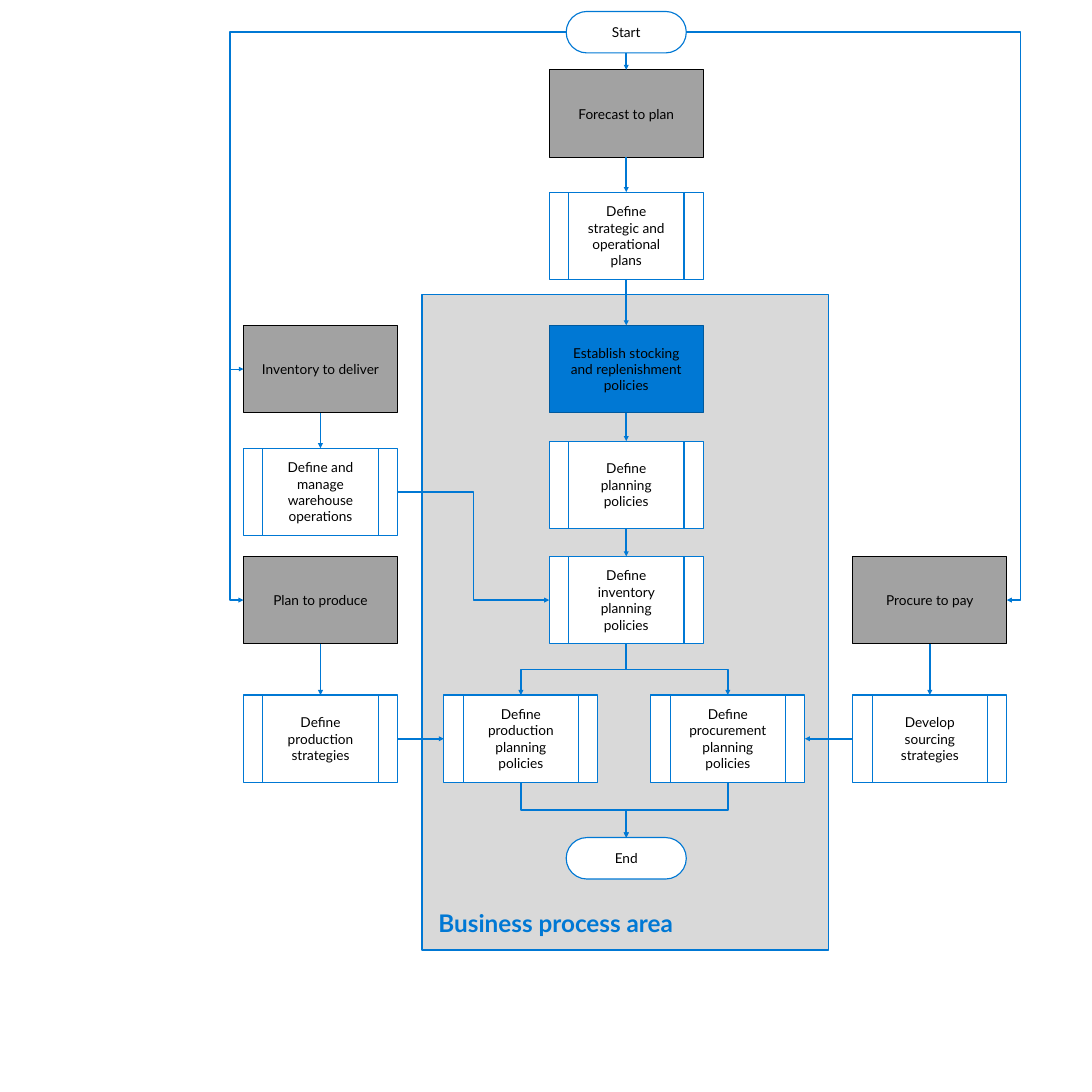
import lxml.etree
import pptx
import pptx.dml.color
import pptx.enum.shapes
import pptx.enum.text
import pptx.oxml.ns
import pptx.util

RGBColor = pptx.dml.color.RGBColor
BLUE = RGBColor(0x00, 0x78, 0xD4)
DARK_BLUE = RGBColor(0x00, 0x59, 0x9D)
GREY = RGBColor(0xA2, 0xA2, 0xA2)
PALE_GREY = RGBColor(0xD9, 0xD9, 0xD9)
BLACK = RGBColor(0x00, 0x00, 0x00)
WHITE = RGBColor(0xFF, 0xFF, 0xFF)

KINDS = pptx.enum.shapes.MSO_SHAPE
ANCHORS = pptx.enum.text.MSO_ANCHOR
ALIGNS = pptx.enum.text.PP_ALIGN
CONNECTORS = pptx.enum.shapes.MSO_CONNECTOR
TOP, LEFT, BOTTOM, RIGHT = range(4)

# Grid in inches: column centres and row tops
COLUMNS = {"supply": 5.87, "production": 9.54, "main": 11.47,
           "procurement": 13.33, "sourcing": 17.03}
ROWS = {"start": 0.21, "forecast": 1.28, "strategy": 3.52, "stocking": 5.96,
        "planning": 8.08, "warehouse": 8.21, "inventory": 10.19,
        "detail": 12.73, "end": 15.34}
LANE = 0.25  # distance of the outer lines from the boxes they enter


class Flowchart:
    font = "Lato"
    box_size = (2.82, 1.6)
    pill_size = (2.2, 0.76)

    def __init__(self, page):
        self.page = page

    def shape(self, kind, at, words, fill, outline, size=18, color=BLACK,
              bold=False, align=ALIGNS.CENTER, anchor=ANCHORS.MIDDLE):
        box = self.page.shapes.add_shape(kind, *map(pptx.util.Inches, at))
        box.shadow.inherit = False
        box.fill.solid()
        box.fill.fore_color.rgb = fill
        box.line.color.rgb = outline
        box.line.width = pptx.util.Pt(1.5)
        frame = box.text_frame
        frame.word_wrap = True
        frame.vertical_anchor = anchor
        frame.margin_left = frame.margin_right = pptx.util.Inches(0.3)
        frame.margin_top = frame.margin_bottom = pptx.util.Inches(0.24)
        frame.text = words
        para = frame.paragraphs[0]
        para.alignment = align
        span = para.runs[0]
        span.font.name = self.font
        span.font.size = pptx.util.Pt(size)
        span.font.bold = bold
        span.font.color.rgb = color
        return box

    def cell(self, column, row, size):
        return (COLUMNS[column] - size[0] / 2, ROWS[row], *size)

    def area(self, at, words):
        return self.shape(KINDS.RECTANGLE, at, words, PALE_GREY, BLUE, size=32, color=BLUE,
                          bold=True, align=ALIGNS.LEFT, anchor=ANCHORS.BOTTOM)

    def pill(self, column, row, words):
        box = self.shape(KINDS.ROUNDED_RECTANGLE, self.cell(column, row, self.pill_size),
                         words, WHITE, BLUE)
        box.adjustments[0] = 0.5
        return box

    def stage(self, column, row, words, fill=GREY, outline=BLACK):
        return self.shape(KINDS.RECTANGLE, self.cell(column, row, self.box_size),
                          words, fill, outline)

    def process(self, column, row, words):
        return self.shape(KINDS.FLOWCHART_PREDEFINED_PROCESS,
                          self.cell(column, row, self.box_size), words, WHITE, BLUE)

    def arrow(self, source, source_side, target, target_side,
              kind=CONNECTORS.STRAIGHT, lane=0, weight=2.25):
        line = self.page.shapes.add_connector(kind, 0, 0, 0, 0)
        line.begin_connect(source, source_side)
        line.end_connect(target, target_side)
        line.line.color.rgb = BLUE
        line.line.width = pptx.util.Pt(weight)
        qn = pptx.oxml.ns.qn
        properties = line._element.spPr
        lxml.etree.SubElement(properties.find(qn("a:ln")), qn("a:tailEnd"), type="triangle")
        lxml.etree.SubElement(properties, qn("a:effectLst"))
        if kind == CONNECTORS.ELBOW:
            run = abs(line.end_x - line.begin_x)
            bend = 1 + pptx.util.Inches(lane) / run if lane else 0.5
            lxml.etree.SubElement(properties.find(".//" + qn("a:avLst")), qn("a:gd"),
                                  name="adj1", fmla=f"val {round(bend * 100000)}")
            if source_side == BOTTOM:
                self.turn(line)
        return line

    def turn(self, line):
        """Rotate an elbow so that it leaves and arrives vertically."""
        across = line.end_x - line.begin_x
        down = line.end_y - line.begin_y
        middle_x = (line.begin_x + line.end_x) // 2
        middle_y = (line.begin_y + line.end_y) // 2
        sign = 1 if across < 0 else -1
        line.begin_x = middle_x - sign * down // 2
        line.end_x = middle_x + sign * down // 2
        line.begin_y = middle_y - abs(across) // 2
        line.end_y = middle_y + abs(across) // 2
        degrees = 90 if across < 0 else 270
        line._element.spPr.find(pptx.oxml.ns.qn("a:xfrm")).set("rot", str(degrees * 60000))


def main():
    deck = pptx.Presentation()
    deck.slide_width = deck.slide_height = pptx.util.Inches(20)
    chart = Flowchart(deck.slides.add_slide(deck.slide_layouts[6]))

    # Shaded area
    chart.area((7.73, 5.4, 7.45, 12), "Business process area")

    # Main column
    start = chart.pill("main", "start", "Start")
    forecast = chart.stage("main", "forecast", "Forecast to plan")
    strategy = chart.process("main", "strategy", "Define strategic and operational plans")
    stocking = chart.stage("main", "stocking", "Establish stocking and replenishment policies",
                           BLUE, DARK_BLUE)
    planning = chart.process("main", "planning", "Define planning policies")
    inventory = chart.process("main", "inventory", "Define inventory planning policies")
    production = chart.process("production", "detail", "Define production planning policies")
    procurement = chart.process("procurement", "detail", "Define procurement planning policies")
    end = chart.pill("main", "end", "End")

    # Side columns
    deliver = chart.stage("supply", "stocking", "Inventory to deliver")
    warehouse = chart.process("supply", "warehouse", "Define and manage warehouse operations")
    produce = chart.stage("supply", "inventory", "Plan to produce")
    strategies = chart.process("supply", "detail", "Define production strategies")
    procure = chart.stage("sourcing", "inventory", "Procure to pay")
    sourcing = chart.process("sourcing", "detail", "Develop sourcing strategies")

    # Straight arrows
    chain = [start, forecast, strategy, stocking, planning, inventory]
    side_steps = [(deliver, warehouse), (produce, strategies), (procure, sourcing)]
    for upper, lower in [*zip(chain, chain[1:]), *side_steps]:
        chart.arrow(upper, BOTTOM, lower, TOP)
    chart.arrow(strategies, RIGHT, production, LEFT)
    chart.arrow(sourcing, LEFT, procurement, RIGHT)

    # Bent arrows
    elbow = CONNECTORS.ELBOW
    chart.arrow(start, LEFT, deliver, LEFT, elbow, LANE, weight=1.5)
    chart.arrow(start, LEFT, produce, LEFT, elbow, LANE)
    chart.arrow(start, RIGHT, procure, RIGHT, elbow, LANE)
    chart.arrow(warehouse, RIGHT, inventory, LEFT, elbow)
    for branch in (production, procurement):
        chart.arrow(inventory, BOTTOM, branch, TOP, elbow)
        chart.arrow(branch, BOTTOM, end, TOP, elbow)

    deck.save("out.pptx")


if __name__ == "__main__":
    main()
